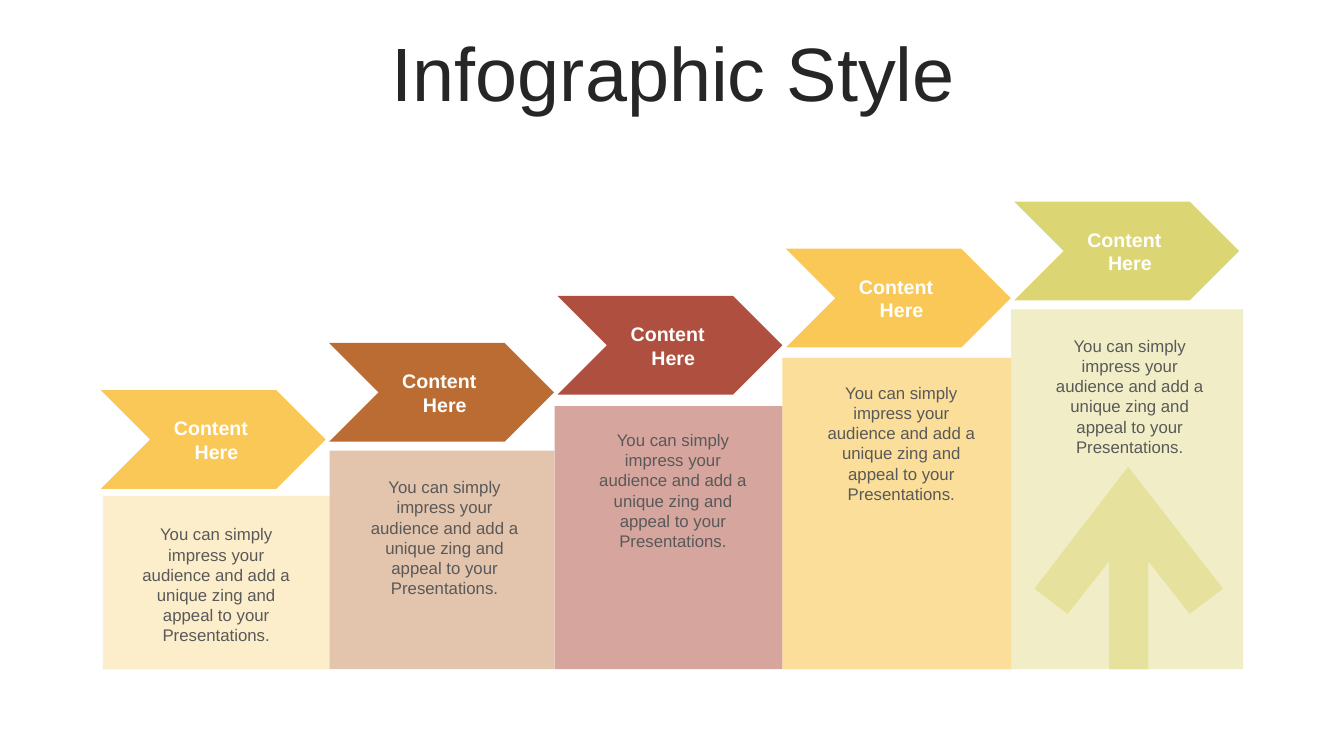
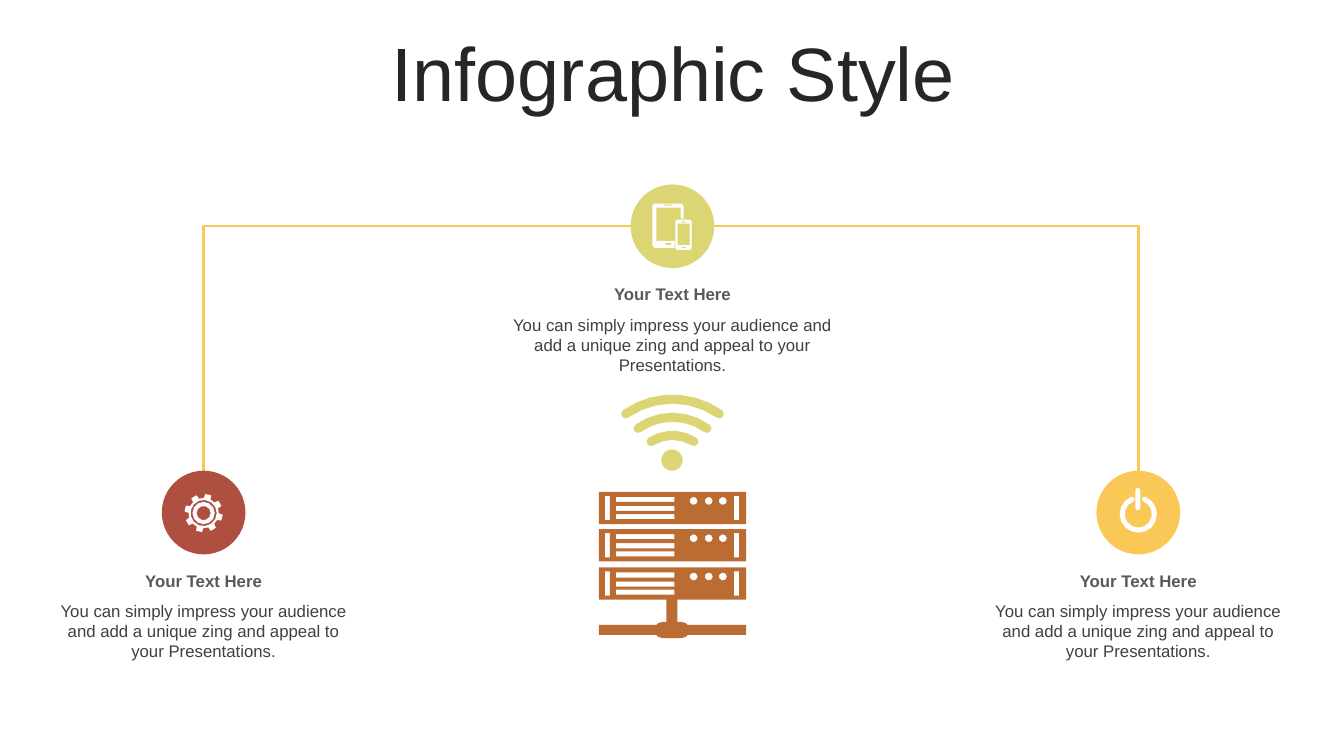
"""Build two infographic slides: rising steps and a connected server diagram."""
import math

import lxml.etree
import pptx
import pptx.dml.color
import pptx.enum.shapes
import pptx.enum.text
import pptx.oxml.ns
import pptx.util

Inches = pptx.util.Inches
Pt = pptx.util.Pt
RGBColor = pptx.dml.color.RGBColor
SHAPE = pptx.enum.shapes.MSO_SHAPE
qn = pptx.oxml.ns.qn

YELLOW = RGBColor(0xF9, 0xC8, 0x56)
BROWN = RGBColor(0xBB, 0x6C, 0x32)
RED = RGBColor(0xAF, 0x4F, 0x3F)
LIME = RGBColor(0xDC, 0xD5, 0x74)
WHITE = RGBColor(0xFF, 0xFF, 0xFF)
TITLE_GRAY = RGBColor(0x26, 0x26, 0x26)
TEXT_GRAY = RGBColor(0x40, 0x40, 0x40)
SOFT_GRAY = RGBColor(0x59, 0x59, 0x59)

FONT = "Arial"
BODY_TEXT = ("You can simply impress your audience and add a unique zing "
             "and appeal to your Presentations.")
PITCH = 9.06 / 4
RISE = 1.87 / 4
FLOOR = 6.64
CIRCLE = 0.83
FLATNESS = 4 / 1000


def set_font(paragraph, size, color, bold=False):
    """Centre a paragraph and set its font."""
    paragraph.alignment = pptx.enum.text.PP_ALIGN.CENTER
    font = paragraph.font
    font.name, font.size, font.bold = FONT, Pt(size), bold
    font.color.rgb = color


def place(shape, left, top, width, height):
    """Move and size a shape, in inches."""
    shape.left, shape.top = Inches(left), Inches(top)
    shape.width, shape.height = Inches(width), Inches(height)


def add_page(deck, title):
    """Add a slide with the shared title style."""
    page = deck.slides.add_slide(deck.slide_layouts[5])
    box = page.shapes.title
    place(box, 0.35, 0.37, 12.66, 0.79)
    frame = box.text_frame
    frame.text = title
    frame.auto_size = pptx.enum.text.MSO_AUTO_SIZE.NONE
    frame.vertical_anchor = pptx.enum.text.MSO_ANCHOR.MIDDLE
    frame.paragraphs[0].line_spacing = 0.9
    set_font(frame.paragraphs[0], 54, TITLE_GRAY)
    return page


def paint(shape, color, opacity=100):
    """Give a shape a flat fill with no line or shadow."""
    shape.shadow.inherit = False
    shape.line.fill.background()
    shape.fill.solid()
    shape.fill.fore_color.rgb = color
    if opacity < 100:
        tint = shape._element.spPr.find(qn("a:solidFill")).find(qn("a:srgbClr"))
        alpha = lxml.etree.SubElement(tint, qn("a:alpha"))
        alpha.set("val", str(opacity * 1000))


def add_block(page, kind, left, top, width, height, color, opacity=100):
    """Add a flat preset shape."""
    shape = page.shapes.add_shape(kind, Inches(left), Inches(top),
                                  Inches(width), Inches(height))
    paint(shape, color, opacity)
    return shape


def add_pill(page, left, top, width, height, color):
    """Add a bar with fully rounded ends."""
    pill = add_block(page, SHAPE.ROUNDED_RECTANGLE, left, top, width, height, color)
    pill.adjustments[0] = 0.5


def add_text(page, left, top, width, height, lines, size, color, bold=False):
    """Add a wrapped, centred text box."""
    box = page.shapes.add_textbox(Inches(left), Inches(top),
                                  Inches(width), Inches(height))
    frame = box.text_frame
    frame.word_wrap = True
    frame.text = "\n".join(lines)
    for paragraph in frame.paragraphs:
        set_font(paragraph, size, color, bold)


def add_outline(page, contours, color, opacity=100):
    """Add one freeform; contours inside others become holes."""
    builder = None
    for contour in contours:
        points = [(Inches(x), Inches(y)) for x, y in contour]
        if builder is None:
            builder = page.shapes.build_freeform(*points[0])
        else:
            builder.move_to(*points[0])
        builder.add_line_segments(points[1:], close=True)
    paint(builder.convert_to_shape(), color, opacity)


def polar(x, y, radius, degrees):
    """Return the point at an angle, clockwise from the right."""
    angle = math.radians(degrees)
    return x + radius * math.cos(angle), y + radius * math.sin(angle)


def arc(x, y, radius, start, end):
    """Return just enough points along an arc to look smooth."""
    widest = 2 * math.degrees(math.acos(1 - FLATNESS / radius))
    steps = math.ceil(abs(end - start) / widest)
    return [polar(x, y, radius, start + (end - start) * step / steps)
            for step in range(steps + 1)]


def circle(x, y, radius):
    """Return points around a circle."""
    return arc(x, y, radius, 0, 360)[:-1]


def rectangle(left, top, width, height):
    """Return the corners of a rectangle."""
    right, bottom = left + width, top + height
    return [(left, top), (right, top), (right, bottom), (left, bottom)]


def band(x, y, radius, start, end, thickness):
    """Return an arc-shaped band with round ends."""
    half = thickness / 2
    return (arc(x, y, radius + half, start, end)
            + arc(*polar(x, y, radius, end), half, end, end + 180)[1:-1]
            + arc(x, y, radius - half, end, start)
            + arc(*polar(x, y, radius, start), half, start + 180, start + 360)[1:-1])


def add_gear(page, x, y):
    """Draw an eight-toothed gear."""
    teeth = [polar(x, y, radius, 45 * tooth - 31 + turn) for tooth in range(8)
             for radius, turn in ((0.15, -13), (0.19, -9), (0.19, 9), (0.15, 13))]
    holes = [circle(x, y, radius) for radius in (0.13, 0.11, 0.07)]
    add_outline(page, [teeth, *holes], WHITE)


def add_power(page, x, y):
    """Draw a power symbol."""
    add_outline(page, [band(x, y, 0.16, -68, 248, 0.05)], WHITE)
    add_pill(page, x - 0.03, y - 0.26, 0.05, 0.22, WHITE)


def add_devices(page):
    """Draw a tablet with a phone in front of it."""
    tablet = (arc(6.5, 2.05, 0.03, 180, 270) + arc(6.75, 2.05, 0.03, 270, 360)
              + [(6.78, 2.17), (6.75, 2.17), (6.75, 2.06), (6.51, 2.06),
                 (6.51, 2.39), (6.69, 2.39), (6.69, 2.46)]
              + arc(6.5, 2.43, 0.03, 90, 180))
    add_outline(page, [tablet, rectangle(6.59, 2.03, 0.08, 0.01),
                       rectangle(6.6, 2.41, 0.06, 0.02)], WHITE)
    phone = add_block(page, SHAPE.ROUNDED_RECTANGLE, 6.7, 2.18, 0.16, 0.3, WHITE)
    phone.adjustments[0] = 0.12
    add_outline(page, [rectangle(6.72, 2.22, 0.12, 0.21),
                       rectangle(6.76, 2.2, 0.04, 0.01),
                       rectangle(6.76, 2.45, 0.04, 0.01)], LIME)


def add_signal(page, x):
    """Draw three wireless waves above a dot."""
    waves = []
    for top, radius, spread in ((3.96, 0.81, 35), (4.14, 0.58, 36), (4.32, 0.4, 32)):
        waves.append(band(x, top + radius, radius, -90 - spread, -90 + spread, 0.09))
    add_outline(page, waves, LIME)
    add_block(page, SHAPE.OVAL, x - 0.11, 4.46, 0.21, 0.21, LIME)


def add_server(page):
    """Draw a stack of three server units on a network stand."""
    units = []
    for top in (4.88, 5.25, 5.63):
        units.append(rectangle(5.94, top, 1.46, 0.32))
        units += [rectangle(6.11, top + offset, 0.58, 0.05)
                  for offset in (0.05, 0.14, 0.22)]
        units += [rectangle(left, top + 0.04, 0.05, 0.24) for left in (6, 7.28)]
        units += [circle(x, top + 0.09, 0.04) for x in (6.88, 7.03, 7.17)]
    add_outline(page, units, BROWN)
    add_block(page, SHAPE.RECTANGLE, 6.61, 5.94, 0.11, 0.25, BROWN)
    add_block(page, SHAPE.RECTANGLE, 5.94, 6.2, 1.46, 0.1, BROWN)
    add_pill(page, 6.49, 6.17, 0.35, 0.16, BROWN)


def add_elbow(page, start, end):
    """Add a line that runs sideways and then down."""
    line = page.shapes.add_connector(pptx.enum.shapes.MSO_CONNECTOR.ELBOW,
                                     *map(Inches, start + end))
    line.line.color.rgb = YELLOW
    line.line.width = Pt(1.75)
    properties = line._element.spPr
    properties.find(qn("a:prstGeom")).set("prst", "bentConnector2")
    lxml.etree.SubElement(properties, qn("a:effectLst"))


def add_node(page, x, top, width, color):
    """Add a circle with a heading and text below it."""
    add_block(page, SHAPE.OVAL, x - CIRCLE / 2, top, CIRCLE, CIRCLE, color)
    left = x - width / 2
    add_text(page, left, top + 0.94, width, 0.3, ["Your Text Here"], 12, SOFT_GRAY, True)
    add_text(page, left, top + 1.24, width, 0.75, [BODY_TEXT], 12, TEXT_GRAY)


def build_steps(deck):
    """Build the slide of five rising steps."""
    page = add_page(deck, "Infographic Style")
    steps = [(1.02, 4.92, YELLOW, 30), (3.27, 4.47, BROWN, 40), (5.5, 4.03, RED, 50),
             (7.76, 3.55, YELLOW, 60), (10.03, 3.07, LIME, 40)]
    rights = [step[0] for step in steps[1:]] + [12.33]
    for index, ((left, top, color, opacity), right) in enumerate(zip(steps, rights)):
        shift, lift = index * PITCH, index * RISE
        add_block(page, SHAPE.RECTANGLE, left, top, right - left, FLOOR - top,
                  color, opacity)
        add_block(page, SHAPE.CHEVRON, 1 + shift, 3.87 - lift, 2.23, 0.98, color)
        add_text(page, 1.57 + shift, 4.08 - lift, 1.1, 0.57, ["Content ", " Here"],
                 14, WHITE, True)
        add_text(page, 1.21 + shift, 5.15 - lift, 1.87, 1.11, [BODY_TEXT],
                 12, SOFT_GRAY)
    arrow = [(11.19, 4.63), (12.13, 5.84), (11.8, 6.09), (11.39, 5.57), (11.39, FLOOR),
             (11, FLOOR), (11, 5.57), (10.59, 6.09), (10.26, 5.84)]
    add_outline(page, [arrow], LIME, 50)


def build_network(deck):
    """Build the slide of three nodes around a server."""
    page = add_page(deck, "Infographic Style")
    left, middle, right = 2.02, 6.67, 11.29
    add_elbow(page, (middle + CIRCLE / 2, 2.24), (right, 4.67))
    add_elbow(page, (middle - CIRCLE / 2, 2.24), (left, 4.67))
    add_node(page, left, 4.67, 3.1, RED)
    add_node(page, middle, 1.83, 3.45, LIME)
    add_node(page, right, 4.67, 3.07, YELLOW)
    add_gear(page, left, 5.09)
    add_devices(page)
    add_power(page, right, 5.1)
    add_signal(page, middle)
    add_server(page)


def main():
    """Create the deck and save it."""
    deck = pptx.Presentation()
    deck.slide_width, deck.slide_height = Inches(13.33), Inches(7.5)
    build_steps(deck)
    build_network(deck)
    deck.save("out.pptx")


if __name__ == "__main__":
    main()
